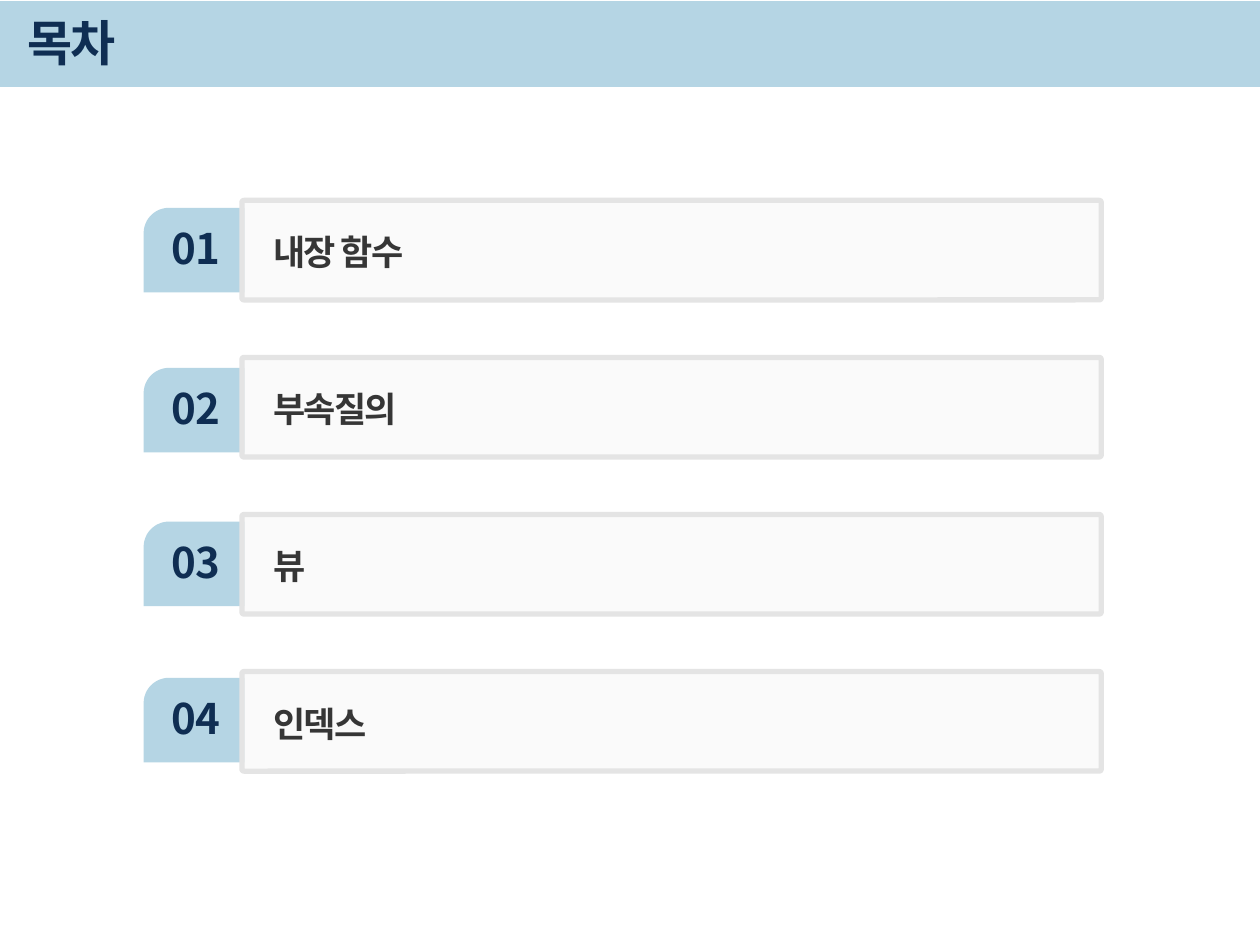
from dataclasses import dataclass

from lxml.etree import SubElement
from pptx import Presentation
from pptx.dml.color import RGBColor
from pptx.enum.shapes import MSO_SHAPE
from pptx.enum.text import MSO_ANCHOR, MSO_AUTO_SIZE, PP_ALIGN
from pptx.oxml.ns import qn
from pptx.util import Inches, Pt


@dataclass(frozen=True)
class Theme:
    font: str = "Noto Sans CJK KR"
    accent: str = "B5D5E4"
    navy: str = "0F2E53"
    ink: str = "363636"
    panel: str = "F2F2F2"
    border: str = "E4E4E4"
    panel_opacity: int = 33
    border_width: float = 3
    title_size: int = 28
    number_size: int = 24
    topic_size: int = 20


class Deck:
    def __init__(self, prs, theme):
        self.theme = theme
        self.s = prs.slides.add_slide(prs.slide_layouts[6])

    def shape(self, shapes, kind, box, fill, adjustments=()):
        sp = shapes.add_shape(kind, *map(Inches, box))
        sp.shadow.inherit = False
        for i, value in enumerate(adjustments):
            sp.adjustments[i] = value
        sp.fill.solid()
        sp.fill.fore_color.rgb = RGBColor.from_string(fill)
        sp.line.fill.background()
        return sp

    def panel(self, shapes, box):
        """Translucent rounded box with a thick border."""
        t = self.theme
        sp = self.shape(shapes, MSO_SHAPE.ROUNDED_RECTANGLE, box, t.panel, [0.02])
        color = sp._element.spPr.find(qn("a:solidFill")).find(qn("a:srgbClr"))
        SubElement(color, qn("a:alpha"), val=str(t.panel_opacity * 1000))
        sp.line.color.rgb = RGBColor.from_string(t.border)
        sp.line.width = Pt(t.border_width)

    def text(self, shapes, box, text, size, color, spacing=0, wrap=True):
        """Bold one-line text box; spacing is letter spacing in points."""
        sp = shapes.add_textbox(*map(Inches, box))
        tf = sp.text_frame
        tf.word_wrap = wrap
        tf.text = text
        p = tf.paragraphs[0]
        r = p.runs[0]
        r.font.size = Pt(size)
        r.font.bold = True
        r.font.color.rgb = RGBColor.from_string(color)
        r.font.name = self.theme.font
        rPr = r._r.get_or_add_rPr()
        SubElement(rPr, qn("a:ea"), typeface=self.theme.font)
        if spacing:
            rPr.set("spc", str(spacing * 100))
        return tf

    def header(self, title):
        t = self.theme
        self.shape(self.s.shapes, MSO_SHAPE.RECTANGLE, (0, 0.01, 10, 0.68), t.accent)
        tf = self.text(self.s.shapes, (0.12, 0.07, 8.51, 0.52), title,
                       t.title_size, t.navy, spacing=-1)
        tf.vertical_anchor = MSO_ANCHOR.MIDDLE

    def agenda_row(self, number, topic, top, tab_top):
        t = self.theme
        shapes = self.s.shapes.add_group_shape().shapes
        self.shape(shapes, MSO_SHAPE.SNIP_ROUND_RECTANGLE,
                   (1.14, tab_top, 0.8, 0.67), t.accent, [0.3, 0])
        tf = self.text(shapes, (1.26, tab_top + 0.07, 0.59, 0.5), number,
                       t.number_size, t.navy, wrap=False)
        tf.auto_size = MSO_AUTO_SIZE.SHAPE_TO_FIT_TEXT
        tf.paragraphs[0].alignment = PP_ALIGN.CENTER

        self.panel(shapes, (1.92, top, 6.82, 0.79))
        tf = self.text(shapes, (2.07, top + 0.16, 5.28, 0.44), topic,
                       t.topic_size, t.ink, spacing=-1)
        tf.auto_size = MSO_AUTO_SIZE.SHAPE_TO_FIT_TEXT
        p = tf.paragraphs[0]
        p.line_spacing = 1.1
        p.space_before = Pt(18)
        p.space_after = Pt(3)


def main():
    prs = Presentation()
    prs.slide_width, prs.slide_height = Inches(10), Inches(7.5)
    deck = Deck(prs, Theme())
    deck.header("목차")

    first_top, last_top = 1.59, 5.33
    agenda = [("내장 함수", 1.65), ("부속질의", 2.92), ("뷰", 4.14), ("인덱스", 5.38)]
    pitch = (last_top - first_top) / (len(agenda) - 1)
    for i, (topic, tab_top) in enumerate(agenda):
        deck.agenda_row(f"{i + 1:02d}", topic, first_top + i * pitch, tab_top)

    prs.save("out.pptx")


if __name__ == "__main__":
    main()
